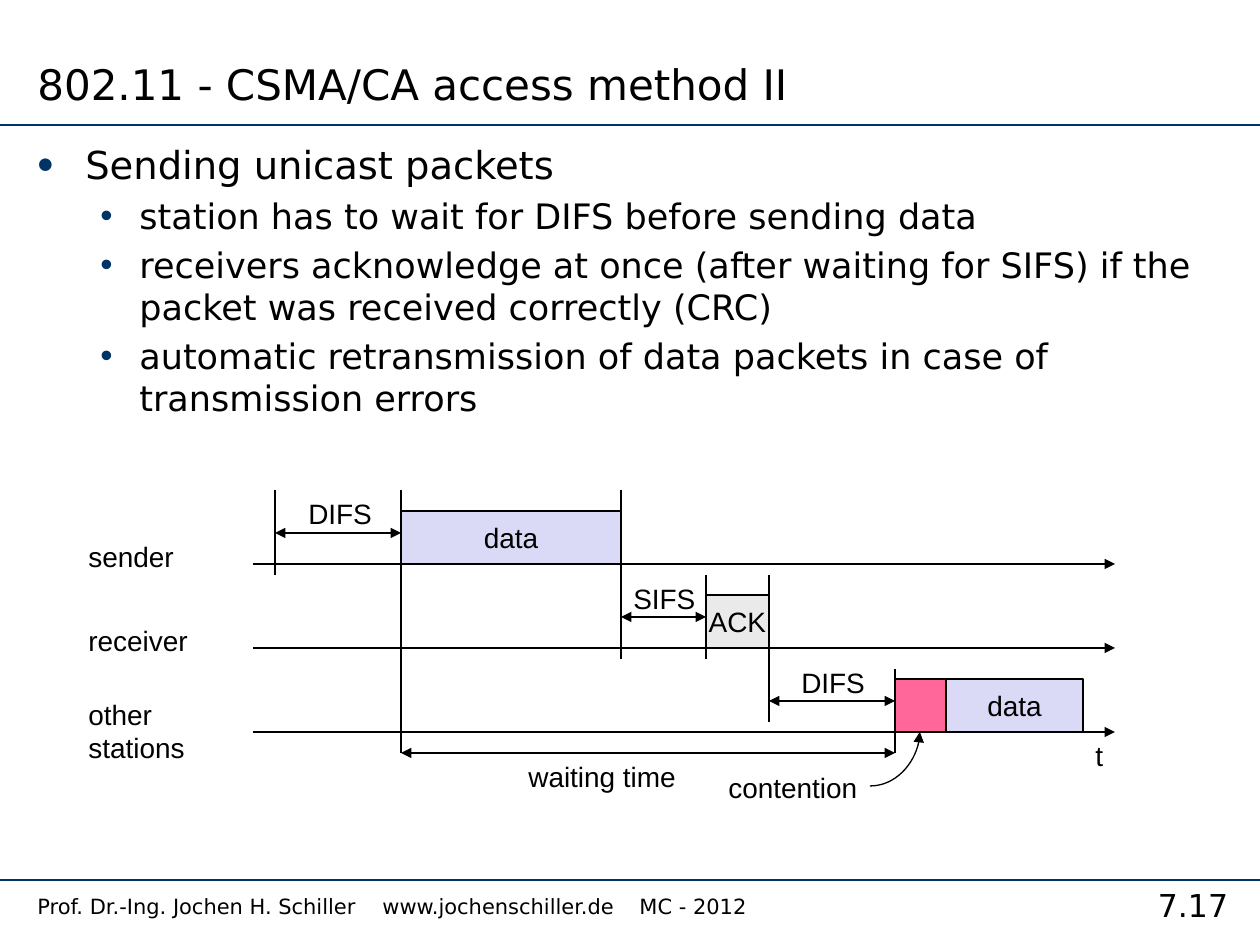
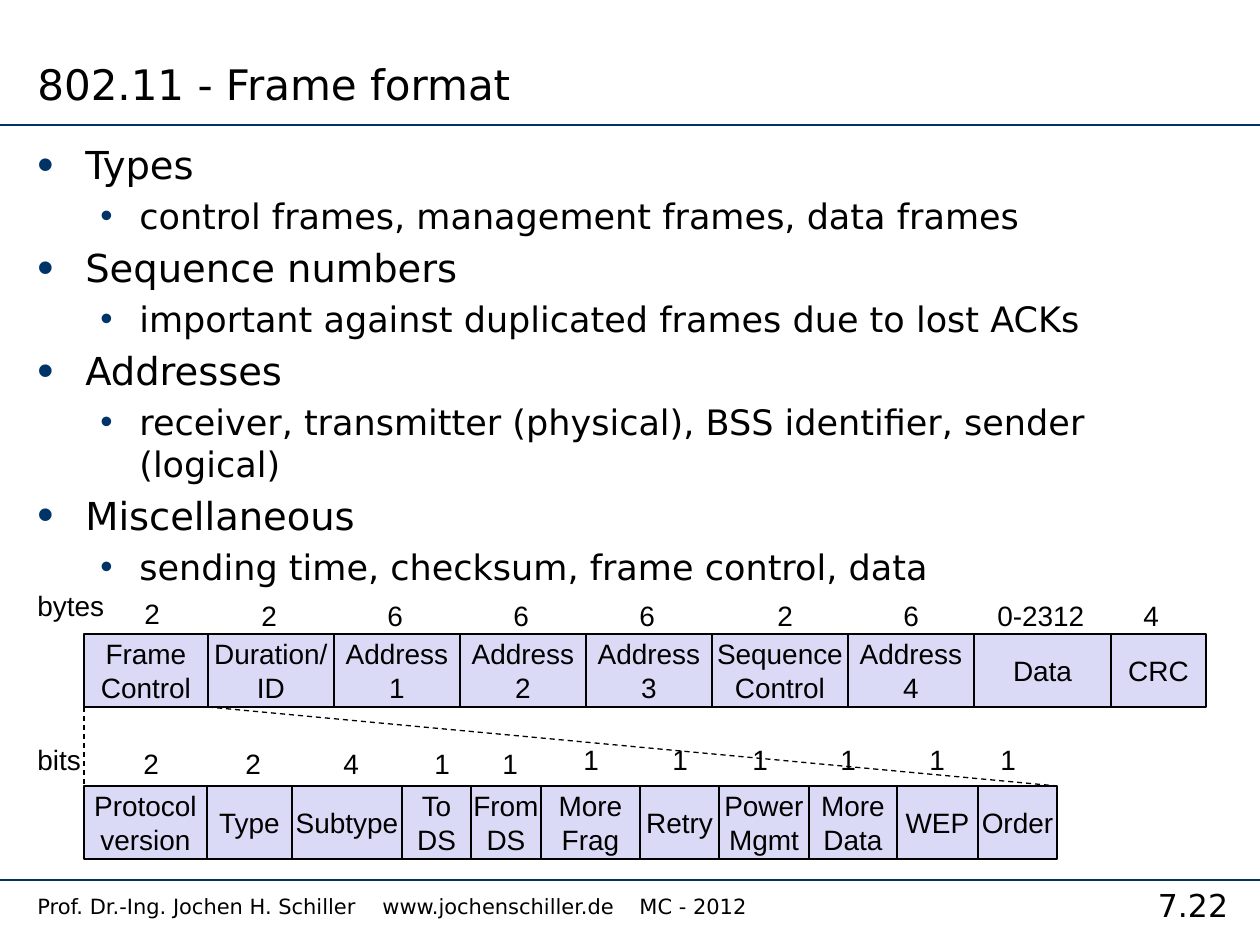
from lxml import etree
from pptx import Presentation
from pptx import util as u
from pptx.dml.color import RGBColor
from pptx.enum import dml, shapes, text
from pptx.oxml import ns

PX = 914400 / 126
SLIDE_SIZE = (1260, 945)
COLORS = {"ink": "000000", "navy": "003366", "data": "DADAF6",
          "ack": "EAEAEA", "contention": "FF6699"}
BODY_FONT, LABEL_FONT = "DejaVu Sans", "Arial"
FOOTER = "Prof. Dr.-Ing. Jochen H. Schiller\twww.jochenschiller.de\tMC - 2012"
FOOTER_TABS = (345, 602)
# size, left margin, hanging indent, bullet size in percent
LEVELS = ((22, 48, 48, 120), (20, 102, 39, 100))

WRAPPED = {"word_wrap": True}
TITLE = {"word_wrap": True, "vertical_anchor": text.MSO_ANCHOR.BOTTOM}
GROWING = {"word_wrap": False, "auto_size": text.MSO_AUTO_SIZE.SHAPE_TO_FIT_TEXT}
BOXED = {"word_wrap": False, "vertical_anchor": text.MSO_ANCHOR.MIDDLE}

# text, left, top, width
TIMING_LABELS = (
    ("sender", 76, 533, 111), ("receiver", 76, 617, 125),
    ("other\nstations", 76, 691, 122), ("DIFS", 296, 490, 89),
    ("SIFS", 621, 575, 87), ("DIFS", 789, 659, 89),
    ("waiting time", 516, 753, 173), ("contention", 716, 764, 155),
    ("t", 1083, 732, 33))

# name, width, length, left and top of the length label
FRAME_FIELDS = (
    ("Frame\nControl", 124, "2", 132, 590), ("Duration/\nID", 126, "2", 249, 592),
    ("Address\n1", 126, "6", 375, 592), ("Address\n2", 126, "6", 501, 592),
    ("Address\n3", 126, "6", 627, 592), ("Sequence\nControl", 136, "2", 765, 592),
    ("Address\n4", 126, "6", 891, 592), ("Data", 137, "0-2312", 985, 592),
    ("CRC", 95, "4", 1131, 592))
CONTROL_FIELDS = (
    ("Protocol\nversion", 123, "2", 131, 740), ("Type", 85, "2", 233, 740),
    ("Subtype", 110, "4", 331, 740), ("To\nDS", 69, "1", 422, 740),
    ("From\nDS", 70, "1", 490, 740), ("More\nFrag", 99, "1", 571, 736),
    ("Retry", 79, "1", 660, 736), ("Power\nMgmt", 90, "1", 740, 736),
    ("More\nData", 88, "1", 828, 736), ("WEP", 81, "1", 917, 736),
    ("Order", 79, "1", 988, 736))


def px(*lengths):
    return [round(length * PX) for length in lengths]


def color(name):
    return RGBColor.from_string(COLORS[name])


def set_all(target, formats):
    for name, value in formats.items():
        setattr(target, name, value)


def add_xml(parent, tag, **attributes):
    return etree.SubElement(parent, ns.qn(tag), attributes)


def write(shape, content, size, font, frame_format, align=text.PP_ALIGN.LEFT):
    """Fill a shape with text, one paragraph for each line of content."""
    frame = shape.text_frame
    set_all(frame, frame_format)
    frame.text = content
    for paragraph in frame.paragraphs:
        paragraph.alignment = align
        set_all(paragraph.runs[0].font, {"size": u.Pt(size), "name": font})
        paragraph.runs[0].font.color.rgb = color("ink")
    return frame.paragraphs


def add_text(slide, content, area, size, font=BODY_FONT, frame_format=WRAPPED, **options):
    shape = slide.shapes.add_textbox(*px(*area))
    return write(shape, content, size, font, frame_format, **options)


def add_label(slide, content, left, top, width):
    height = 47 + 34 * content.count("\n")
    add_text(slide, content, (left, top, width, height), 16, LABEL_FONT, GROWING)


def add_line(slide, start, end, ink="ink", width=0.75, heads=(), dash=None, curved=False):
    kind = shapes.MSO_CONNECTOR.CURVE if curved else shapes.MSO_CONNECTOR.STRAIGHT
    connector = slide.shapes.add_connector(kind, *px(*start, *end))
    connector.line.color.rgb = color(ink)
    set_all(connector.line, {"width": u.Pt(width), "dash_style": dash})
    properties = connector.element.spPr
    if curved:
        properties.find(ns.qn("a:prstGeom")).set("prst", "curvedConnector2")
    for head in heads:
        add_xml(properties.find(ns.qn("a:ln")), head, type="triangle")
    add_xml(properties, "a:effectLst")


def add_arrow(slide, start, end, **options):
    add_line(slide, start, end, heads=("a:tailEnd",), **options)


def add_span(slide, left, right, y):
    """Draw a horizontal double arrow that marks a time interval."""
    add_line(slide, (left, y), (right, y), heads=("a:headEnd", "a:tailEnd"))


def add_box(slide, area, fill, content=""):
    shape = slide.shapes.add_shape(shapes.MSO_SHAPE.RECTANGLE, *px(*area))
    shape.shadow.inherit = False
    shape.fill.solid()
    shape.fill.fore_color.rgb = color(fill)
    shape.line.color.rgb = color("ink")
    shape.line.width = u.Pt(0.75)
    if content:
        write(shape, content, 16, LABEL_FONT, BOXED, text.PP_ALIGN.CENTER)


def add_bullets(slide, items, height):
    """Write (level, text) items as one bulleted body."""
    content = "\n".join(line for _, line in items)
    paragraphs = add_text(slide, content, (25, 135, 1211, height), 20)
    for paragraph, (level, _) in zip(paragraphs, items):
        size, margin, hanging, bullet_size = LEVELS[level]
        paragraph.level = level
        paragraph.runs[0].font.size = u.Pt(size)
        properties = paragraph._p.get_or_add_pPr()
        properties.set("marL", str(px(margin)[0]))
        properties.set("indent", str(px(-hanging)[0]))
        add_xml(add_xml(properties, "a:spcBef"), "a:spcPct", val="20000")
        add_xml(add_xml(properties, "a:buClr"), "a:srgbClr", val=COLORS["navy"])
        add_xml(properties, "a:buSzPct", val=str(bullet_size * 1000))
        add_xml(properties, "a:buFont", typeface=LABEL_FONT)
        add_xml(properties, "a:buChar", char="•")


def add_base_slide(presentation, title, number):
    """Add a slide with title, rules, footer and page number."""
    slide = presentation.slides.add_slide(presentation.slide_layouts[6])
    for y in (125, 880):
        add_line(slide, (0, y), (SLIDE_SIZE[0], y), "navy", 1)
    add_text(slide, number, (1126, 880, 134, 50), 18, align=text.PP_ALIGN.CENTER)
    footer = add_text(slide, FOOTER, (25, 887, 1101, 42), 12)[0]
    tabs = add_xml(footer._p.get_or_add_pPr(), "a:tabLst")
    for position in px(*FOOTER_TABS):
        add_xml(tabs, "a:tab", pos=str(position), algn="l")
    add_text(slide, title, (25, 0, 833, 115), 24, frame_format=TITLE)
    return slide


def add_timing_diagram(slide):
    sender, receiver, others = axes = (564, 648, 732)
    idle, send, sent, ack, acked, contend, resend, end = (
        275, 401, 621, 706, 769, 895, 946, 1083)
    wait = others + 21
    bar = 53
    for y in axes:
        add_arrow(slide, (253, y), (1115, y))
    for left, right, axis, fill, content in (
            (send, sent, sender, "data", "data"),
            (ack, acked, receiver, "ack", "ACK"),
            (resend, end, others, "data", "data"),
            (contend, resend, others, "contention", "")):
        add_box(slide, (left, axis - bar, right - left, bar), fill, content)
    for x, top, bottom in ((idle, 490, 575), (send, 490, wait), (sent, 490, 659),
                           (ack, 575, 659), (acked, 575, 722), (contend, 669, wait)):
        add_line(slide, (x, bottom), (x, top))
    for left, right, y in ((idle, send, sender - 31), (sent, ack, receiver - 31),
                           (acked, contend, others - 31), (send, contend, wait)):
        add_span(slide, left, right, y)
    add_arrow(slide, (870, 786), (920, others), curved=True)
    for label in TIMING_LABELS:
        add_label(slide, *label)


def add_fields(slide, fields, left, top, height):
    """Draw adjoining fields with their lengths above; return the right edges."""
    edges = []
    for name, width, length, label_left, label_top in fields:
        add_box(slide, (left, top, width, height), "data", name)
        add_label(slide, length, label_left, label_top, 40 if len(length) == 1 else 112)
        left += width
        edges.append(left)
    return edges


def add_frame_diagram(slide):
    left, frame_top, control_top, height = 84, 634, 786, 73
    frame_edges = add_fields(slide, FRAME_FIELDS, left, frame_top, height)
    control_edges = add_fields(slide, CONTROL_FIELDS, left, control_top, height)
    for start, end in ((left, left), (frame_edges[0], control_edges[-1])):
        add_line(slide, (start, frame_top + height), (end, control_top),
                 dash=dml.MSO_LINE.DASH)
    add_label(slide, "bytes", 25, 582, 92)
    add_label(slide, "bits", 25, 736, 69)


def main():
    presentation = Presentation()
    presentation.slide_width, presentation.slide_height = px(*SLIDE_SIZE)

    slide = add_base_slide(presentation, "802.11 - CSMA/CA access method II", "7.17")
    add_bullets(slide, (
        (0, "Sending unicast packets"),
        (1, "station has to wait for DIFS before sending data"),
        (1, "receivers acknowledge at once (after waiting for SIFS) if the "
            "packet was received correctly (CRC)"),
        (1, "automatic retransmission of data packets in case of "
            "transmission errors")), 297)
    add_timing_diagram(slide)

    slide = add_base_slide(presentation, "802.11 - Frame format", "7.22")
    add_bullets(slide, (
        (0, "Types"),
        (1, "control frames, management frames, data frames"),
        (0, "Sequence numbers"),
        (1, "important against duplicated frames due to lost ACKs"),
        (0, "Addresses"),
        (1, "receiver, transmitter (physical), BSS identifier, sender (logical)"),
        (0, "Miscellaneous"),
        (1, "sending time, checksum, frame control, data")), 737)
    add_frame_diagram(slide)

    presentation.save("out.pptx")


if __name__ == "__main__":
    main()
